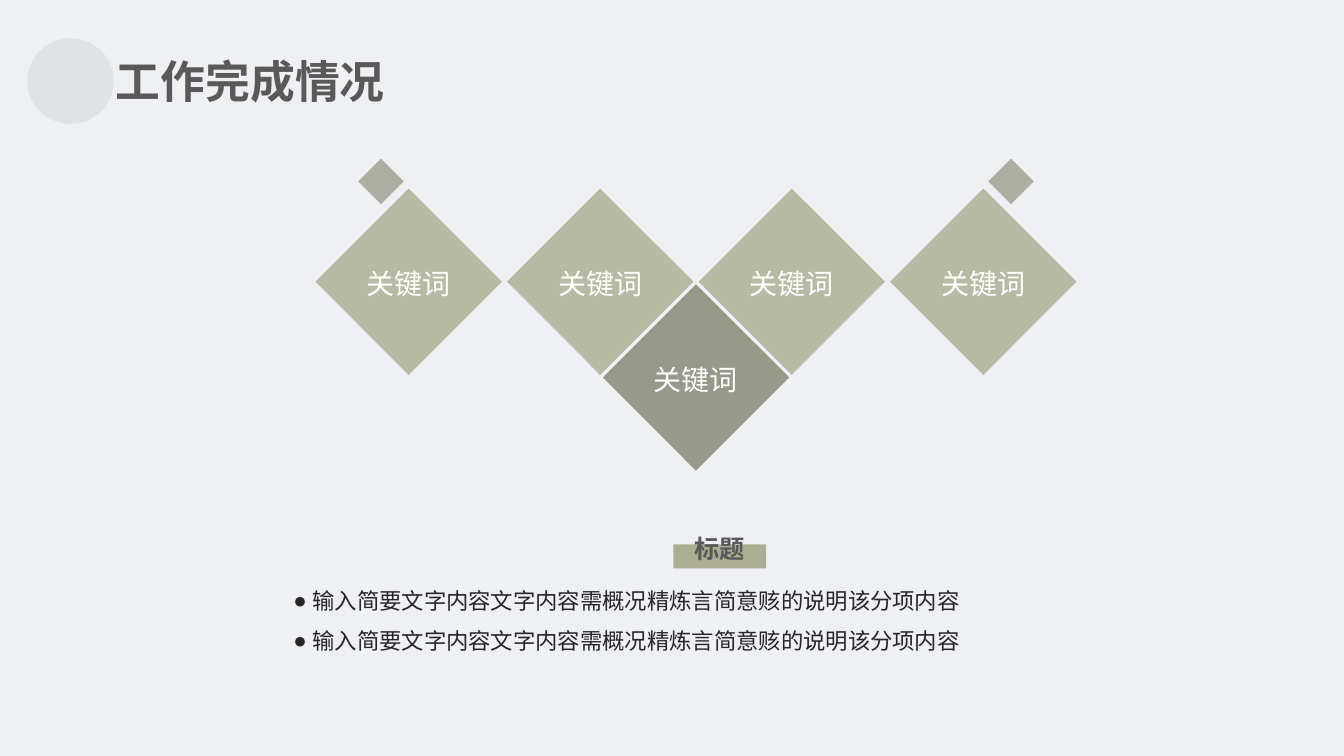
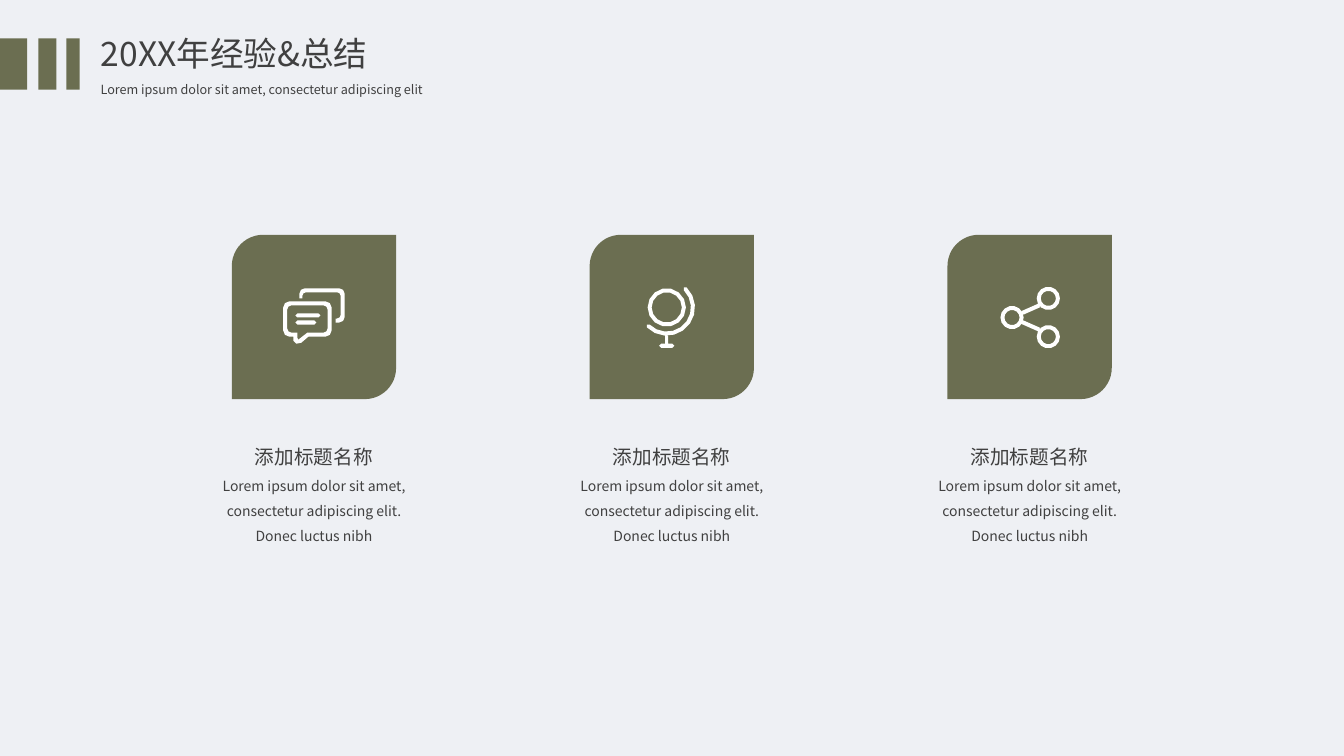
"""Build two olive-toned report slides: keyword diamonds and a three-point summary."""
from dataclasses import dataclass
from math import atan2, cos, degrees, radians, sin

from lxml import etree
from pptx import Presentation
from pptx import util as u
from pptx.dml import color
from pptx.enum import shapes, text
from pptx.oxml import ns

PX = 9144
SHAPE = shapes.MSO_SHAPE
ALIGN = text.PP_ALIGN
ANCHOR = text.MSO_ANCHOR

Point = tuple[float, float]
Contour = list[Point]


@dataclass(frozen=True)
class Style:
    size: int
    color: str
    bold: bool = False
    align: ALIGN = ALIGN.LEFT
    spacing: float = 1.0
    font: str = "Noto Sans CJK SC"


@dataclass(frozen=True)
class Theme:
    ground: str = "EEF0F4"
    olive: str = "6B6E51"
    sage: str = "ABAE91"
    white: str = "FFFFFF"
    heading: Style = Style(32, "595959", True, ALIGN.JUSTIFY)
    keyword: Style = Style(20, "FFFFFF", False, ALIGN.CENTER, 1.1, "Noto Sans CJK JP")
    caption: Style = Style(18, "595959", True)
    bullet: Style = Style(16, "262626", False, ALIGN.JUSTIFY, 1.5)
    summary: Style = Style(24, "404040")
    tagline: Style = Style(9, "404040", spacing=1.5)
    point_title: Style = Style(14, "404040", False, ALIGN.CENTER, 1.5)
    point_text: Style = Style(10, "404040", False, ALIGN.CENTER, 1.5)


THEME = Theme()


@dataclass(frozen=True)
class Box:
    left: int
    top: int
    width: int
    height: int

    def emu(self) -> tuple[int, int, int, int]:
        return self.left * PX, self.top * PX, self.width * PX, self.height * PX


@dataclass(frozen=True)
class Diamond:
    left: int
    top: int
    fill: str
    opacity: int


@dataclass(frozen=True)
class SummaryPoint:
    title: str
    detail: str
    icon: list[Contour]


def paint(shape, fill: str, opacity: int = 100) -> None:
    shape.shadow.inherit = False
    shape.fill.solid()
    shape.fill.fore_color.rgb = color.RGBColor.from_string(fill)
    shape.line.fill.background()
    if opacity < 100:
        tone = shape.fill._xPr.find(".//" + ns.qn("a:srgbClr"))
        etree.SubElement(tone, ns.qn("a:alpha"), val=str(opacity * 1000))


def add_block(parent, preset: SHAPE, box: Box, fill: str, opacity: int = 100):
    block = parent.add_shape(preset, *box.emu())
    paint(block, fill, opacity)
    return block


def style_paragraph(paragraph, style: Style) -> None:
    paragraph.alignment = style.align
    paragraph.line_spacing = style.spacing
    paragraph.space_before = u.Pt(0)
    font = paragraph.font
    font.size, font.bold, font.name = u.Pt(style.size), style.bold, style.font
    font.color.rgb = color.RGBColor.from_string(style.color)
    defaults = paragraph._p.pPr.find(ns.qn("a:defRPr"))
    etree.SubElement(defaults, ns.qn("a:ea"), typeface=style.font)


def add_bullet(paragraph, indent: int) -> None:
    properties = paragraph._p.get_or_add_pPr()
    properties.set("marL", str(indent * PX))
    properties.set("indent", str(-indent * PX))
    etree.SubElement(properties, ns.qn("a:buChar"), char="●")


def write(frame, lines: list[tuple[str, Style]], anchor: ANCHOR = ANCHOR.TOP,
          wrap: bool = True, indent: int = 0) -> None:
    frame.word_wrap = wrap
    frame.vertical_anchor = anchor
    for index, (line, style) in enumerate(lines):
        paragraph = frame.add_paragraph() if index else frame.paragraphs[0]
        paragraph.text = line
        if indent:
            add_bullet(paragraph, indent)
        style_paragraph(paragraph, style)


def place(holder, box: Box):
    holder.left, holder.top, holder.width, holder.height = box.emu()
    holder.text_frame.auto_size = text.MSO_AUTO_SIZE.SHAPE_TO_FIT_TEXT
    return holder.text_frame


def add_text(parent, box: Box):
    return place(parent.add_textbox(*box.emu()), box)


def arc(x: float, y: float, radius: float, start: float, end: float, steps: int = 2) -> Contour:
    angles = [radians(start + (end - start) * i / steps) for i in range(steps + 1)]
    return [(x + radius * cos(a), y + radius * sin(a)) for a in angles]


def ring(x: float, y: float, outer: float, inner: float) -> list[Contour]:
    return [arc(x, y, radius, 0, 360, 14)[:-1] for radius in (outer, inner)]


def bar(start: Point, end: Point, steps: int = 2) -> Contour:
    angle = degrees(atan2(end[1] - start[1], end[0] - start[0]))
    return (arc(*end, 2, angle - 90, angle + 90, steps)
            + arc(*start, 2, angle + 90, angle + 270, steps))


def bubble(left: int, top: int, right: int, bottom: int, radius: int, tail: Contour) -> Contour:
    near, far = left + radius, right - radius
    high, low = top + radius, bottom - radius
    return (arc(near, high, radius, 180, 270) + arc(far, high, radius, 270, 360)
            + arc(far, low, radius, 0, 90) + tail + arc(near, low, radius, 90, 180))


def chat_icon() -> list[Contour]:
    back = ([(67, 63)] + arc(72.5, 58.5, 5.5, 180, 270) + arc(106.5, 58.5, 5.5, 270, 360)
            + arc(106.5, 81.5, 5.5, 0, 90) + [(103, 87), (103, 83)]
            + arc(104.5, 79.5, 3.5, 90, 0) + arc(104.5, 60.5, 3.5, 0, -90)
            + arc(73.5, 60.5, 3.5, 270, 180) + [(70, 63)])
    outer = bubble(51, 66, 99, 101, 6, [(76, 101), (69, 107), (64, 108), (61, 105), (61, 101)])
    inner = bubble(55, 70, 95, 97, 4, [(75, 97), (66, 104), (65, 102), (65, 97)])
    return [back, outer, inner, bar((65, 80), (86, 80)), bar((65, 87), (82, 87))]


def globe_icon() -> list[Contour]:
    x, y = 76.5, 72
    tip, foot = arc(x, y, 26, -45, 135, 1)
    meridian = (arc(x, y, 28, -45, 135, 9) + arc(*foot, 2, 135, 315)[1:-1]
                + arc(x, y, 24, 135, -45, 9) + arc(*tip, 2, 135, 315)[1:-1])
    stem = [(75, 100), (78, 100), (78, 108), (75, 108)]
    return ring(x, y, 19, 15) + [meridian, stem, bar((71, 110), (82, 110))]


def share_icon() -> list[Contour]:
    nodes = [(64, 82), (100, 63), (100, 101)]
    contours = [contour for node in nodes for contour in ring(*node, 11.5, 7.5)]
    for side in (-1, 1):
        contours.append(bar((74.5, 82 + 4.7 * side), (91, 82 + 12 * side), 1))
    return contours


def add_icon(parent, contours: list[Contour], left: int, top: int) -> None:
    placed = [[((left + x) * PX, (top + y) * PX) for x, y in contour] for contour in contours]
    builder = parent.build_freeform(*placed[0][0], scale=1.0)
    for index, contour in enumerate(placed):
        if index:
            builder.move_to(*contour[0])
        builder.add_line_segments(contour[1:], close=True)
    paint(builder.convert_to_shape(), THEME.white)


def build_progress(deck) -> None:
    slide = deck.slides.add_slide(deck.slide_layouts[1])
    title, body = slide.placeholders
    write(place(title, Box(105, 48, 360, 64)), [("工作完成情况", THEME.heading)])
    detail = "输入简要文字内容文字内容需概况精炼言简意赅的说明该分项内容"
    write(place(body, Box(281, 564, 865, 91)), [(detail, THEME.bullet)] * 2, indent=19)
    add_block(slide.shapes, SHAPE.OVAL, Box(27, 38, 86, 85), THEME.olive, 10)

    cluster = slide.shapes.add_group_shape().shapes
    for left in (362, 987):
        add_block(cluster, SHAPE.RECTANGLE, Box(left, 164, 32, 32), THEME.olive, 50).rotation = 45
    diamonds = [Diamond(313 + 190 * i, 187, THEME.sage, 80) for i in range(4)]
    diamonds.append(Diamond(598, 282, THEME.olive, 66))
    for diamond in diamonds:
        tile = add_block(cluster, SHAPE.DIAMOND, Box(diamond.left, diamond.top, 185, 185),
                         diamond.fill, diamond.opacity)
        frame = tile.text_frame
        frame.margin_left = frame.margin_right = frame.margin_top = frame.margin_bottom = 0
        write(frame, [("关键词", THEME.keyword)], ANCHOR.MIDDLE)

    caption = slide.shapes.add_group_shape().shapes
    add_block(caption, SHAPE.RECTANGLE, Box(668, 540, 92, 24), THEME.sage)
    write(add_text(caption, Box(679, 524, 70, 40)), [("标题", THEME.caption)], wrap=False)


def build_summary(deck) -> None:
    slide = deck.slides.add_slide(deck.slide_layouts[5])
    write(place(slide.shapes.title, Box(90, 27, 635, 51)),
          [("20XX年经验&总结", THEME.summary)], ANCHOR.MIDDLE)
    write(add_text(slide.shapes, Box(90, 69, 380, 30)),
          [("Lorem ipsum dolor sit amet, consectetur adipiscing elit", THEME.tagline)])
    for left, width in ((0, 27), (38, 18), (66, 13)):
        add_block(slide.shapes, SHAPE.RECTANGLE, Box(left, 38, width, 51), THEME.olive)

    detail = "Lorem ipsum dolor sit amet, consectetur adipiscing elit. Donec luctus nibh"
    points = [SummaryPoint("添加标题名称", detail, icon)
              for icon in (chat_icon(), globe_icon(), share_icon())]
    for index, point in enumerate(points):
        left, top = 230 + 355 * index, 233
        tile = add_block(slide.shapes, SHAPE.ROUND_2_DIAG_RECTANGLE,
                         Box(left, top, 163, 163), THEME.olive)
        tile.adjustments[0], tile.adjustments[1] = 0.19, 0
        add_icon(slide.shapes, point.icon, left, top)
        write(add_text(slide.shapes, Box(left - 30, 425, 223, 121)),
              [(point.title, THEME.point_title), (point.detail, THEME.point_text)])


def main() -> None:
    deck = Presentation()
    deck.slide_width, deck.slide_height = u.Inches(40 / 3), u.Inches(7.5)
    ground = deck.slide_master.background.fill
    ground.solid()
    ground.fore_color.rgb = color.RGBColor.from_string(THEME.ground)
    build_progress(deck)
    build_summary(deck)
    deck.save("out.pptx")


if __name__ == "__main__":
    main()
